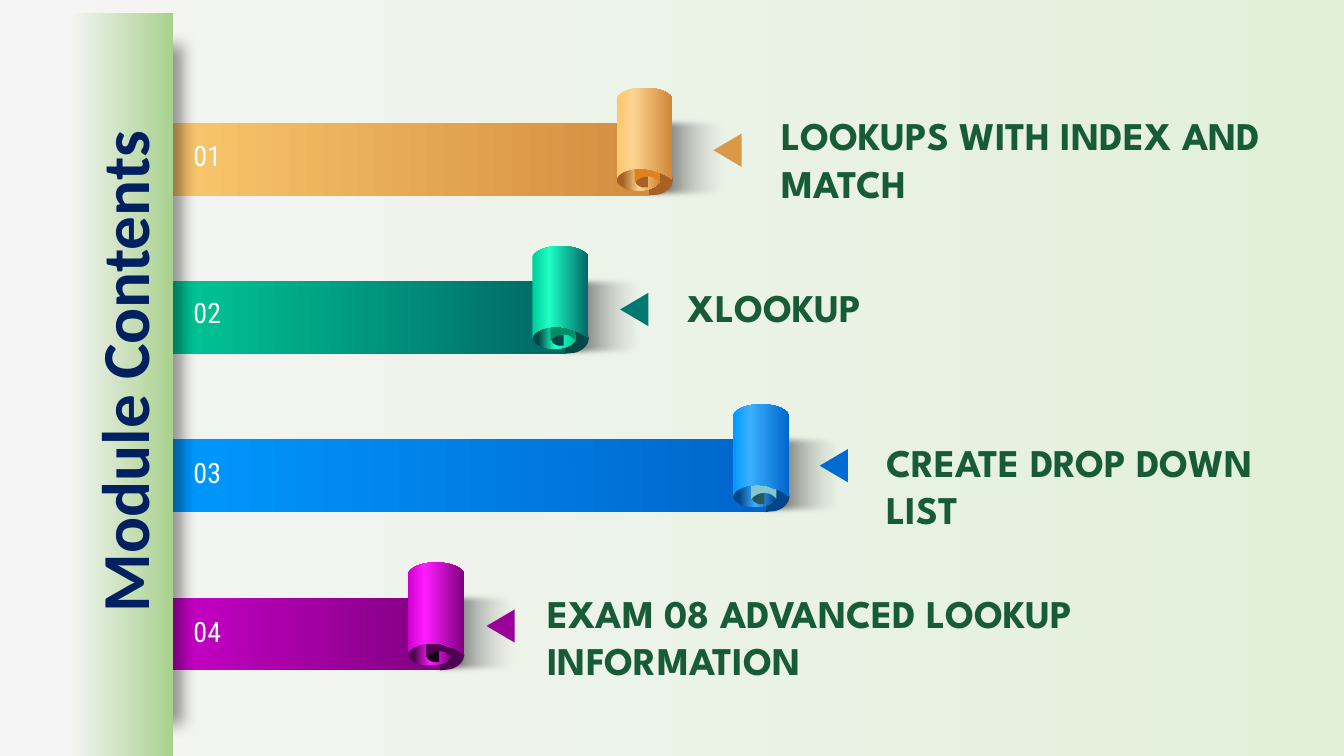
from dataclasses import dataclass
from lxml.etree import SubElement
from pptx import Presentation
from pptx.enum.shapes import MSO_CONNECTOR as Link, MSO_SHAPE as Kind
from pptx.enum.text import MSO_ANCHOR as Anchor, MSO_AUTO_SIZE as Fit, PP_ALIGN as Align
from pptx.dml.color import RGBColor as Color
from pptx.oxml.ns import qn
from pptx.util import Inches, Pt

COLS, ROWS = 1333, 750
CELL = Inches(0.01)
PITCH = 157
EDGE = 151
ROLL_W, ROLL_H = 55.5, 107

TAIL = [(56, 92), (56, 98, 50, 104, 42, 106), (32, 107), (32, 76), (42, 77),
        (50, 80, 56, 85, 56, 92)]
HOOK = [(19, 93), (19, 96, 22, 98, 26, 99), (31, 99), (31, 88), (26, 88),
        (22, 89, 19, 91, 19, 93)]
CORE = [(18, 51), (22, 44, 39, 44, 43, 51), (43, 94), (40, 90, 36, 88, 31, 88),
        (26, 88, 22, 90, 18, 94)]
ROLL = [(28, 0), (39, 0, 51, 3, 55.5, 10), (55.5, 91), (52, 88, 48, 86, 43, 84),
        (39, 83), (34, 81), (31, 81, 28, 80, 24, 80), (13, 80, 3, 84, 1, 89),
        (0, 92), (0, 10), (5, 3, 16, 0, 28, 0)]


@dataclass
class Hues:
    start: str
    end: str
    light: str
    dark: str
    rim: str
    edge: str
    hook: str
    core: str
    mark: str


@dataclass
class Row:
    label: str
    right: int
    num: int
    mark: tuple
    text: tuple
    rule: int
    hues: Hues


LIST = [
    Row("LOOKUPS WITH INDEX AND MATCH", 667, 133, (705, 135),
        (765.5, 106, 530, 104), 193,
        Hues("FAC86F", "D48D3E", "FBD48F", "A76124", "CE8537", "CE8537",
             "A76124", "DD821D", "DB9948")),
    Row("XLOOKUP", 583.5, 288, (612.5, 293), (672.5, 276, 568, 57), 363,
        Hues("00CC99", "006666", "1DFFC4", "004846", "00CC99", "006666",
             "004846", "008E69", "007A70")),
    Row("CREATE DROP DOWN LIST", 782.5, 447, (810.5, 448),
        (869.5, 430, 426, 104), 0,
        Hues("0099FF", "0066CC", "3BB0FF", "00458A", "00458A", "0066CC",
             "28585E", "81C6D1", "006CD2")),
    Row("EXAM 08 ADVANCED LOOKUP INFORMATION", 460, 605, (480, 607),
        (533, 580, 749, 104), 0,
        Hues("CC00CC", "800080", "FF1DFF", "500050", "800080", "800080",
             "1A001A", "500050", "9A009A")),
]


def span(*cells):
    return [round(c * CELL) for c in cells]


def paint(fill, hues, node=None):
    if isinstance(hues, str):
        fill.solid()
        fill.fore_color.rgb = Color.from_string(hues)
        return
    fill.gradient()
    fill.gradient_angle = 0
    stops = node.find(".//" + qn("a:gsLst"))
    for old in list(stops):
        stops.remove(old)
    for place, hue, *alpha in hues:
        stop = SubElement(stops, qn("a:gs"), pos=str(place * 1000))
        tint = SubElement(stop, qn("a:srgbClr"), val=hue)
        for value in alpha:
            SubElement(tint, qn("a:alpha"), val=str(value * 1000))


def finish(shape, hues):
    paint(shape.fill, hues, shape._element.spPr)
    shape.line.fill.background()
    shape.shadow.inherit = False
    return shape


def effect(shape, tag, **traits):
    holder = shape._element.spPr.find(qn("a:effectLst"))
    return SubElement(holder, qn(tag), **traits)


def block(slide, kind, box, hues):
    return finish(slide.shapes.add_shape(kind, *span(*box)), hues)


def curve(slide, x, y, steps, hues):
    knots = [span(x + step[n], y + step[n + 1])
             for step in steps for n in range(0, len(step), 2)]
    pen = slide.shapes.build_freeform(*knots[0])
    pen.add_line_segments(knots[1:], close=True)
    shape = finish(pen.convert_to_shape(), hues)
    trail = shape._element.spPr.find(".//" + qn("a:path"))
    lines = iter(trail.findall(qn("a:lnTo")))
    for step in steps[1:]:
        first = next(lines)
        if len(step) == 6:
            bend = trail.makeelement(qn("a:cubicBezTo"))
            first.addprevious(bend)
            for line in (first, next(lines), next(lines)):
                bend.append(line[0])
                trail.remove(line)


def style(shape, text, face, size, hue, bold=False):
    frame = shape.text_frame
    frame.text = text
    frame.word_wrap = True
    frame.auto_size = Fit.NONE
    font = frame.paragraphs[0].runs[0].font
    font.name, font.size, font.bold = face, Pt(size), bold
    paint(font.fill, hue)
    return frame


def ribbon(slide, box, hues):
    x, y, w, h = box
    left = x + w - ROLL_W
    shade = block(slide, Kind.RECTANGLE, (left + 21, y + 27, 93, 86),
                  [(0, "000000"), (100, "E9EBEA", 0)])
    effect(shade, "a:softEdge", rad=str(Pt(5)))
    curve(slide, left, y, TAIL, hues.dark)
    block(slide, Kind.RECTANGLE, (x, y + 35, w - 23, h - 35),
          [(0, hues.start), (100, hues.end)])
    block(slide, Kind.OVAL, (left, y + 80, 43, 22),
          [(14, hues.dark), (52, hues.light), (100, hues.rim)])
    curve(slide, left, y, HOOK, hues.hook)
    curve(slide, left, y, CORE, hues.core)
    curve(slide, left, y, ROLL,
          [(0, hues.start), (30, hues.light), (100, hues.edge)])


def panel(slide, box):
    x, y, w, h = box
    back = block(slide, Kind.RECTANGLE, (x + 48, y + 32, 55, h - 65), "F4F4F4")
    glow = effect(back, "a:outerShdw", blurRad=str(Pt(11)), dist=str(Pt(7)),
                  dir="0", algn="l", rotWithShape="0")
    tint = SubElement(glow, qn("a:srgbClr"), val="000000")
    SubElement(tint, qn("a:alpha"), val="40000")
    block(slide, Kind.RECTANGLE, box, [(0, "F5F5F5"), (100, "A9D18E")])


def heading(slide, box):
    title = slide.shapes.title
    title.left, title.top, title.width, title.height = span(*box)
    title.rotation = 270
    frame = style(title, "Module Contents", "Calibri", 48, "002060", True)
    frame.vertical_anchor = Anchor.TOP
    frame.paragraphs[0].alignment = Align.CENTER
    title._element.getparent().append(title._element)


def number(slide, box, text):
    style(slide.shapes.add_textbox(*span(*box)), text,
          "Roboto Condensed", 20, "FFFFFF")


def topic(slide, box, row):
    if row.rule:
        ends = span(box[0], row.rule, box[0] + 410, row.rule)
        rule = slide.shapes.add_connector(Link.STRAIGHT, *ends)
        rule.line.width = Pt(0.5)
        paint(rule.line.fill, "F2F2F2")
        tint = rule._element.spPr.find(".//" + qn("a:srgbClr"))
        SubElement(tint, qn("a:alpha"), val="30000")
        SubElement(rule._element.spPr, qn("a:effectLst"))
    style(slide.shapes.add_textbox(*span(*box)), row.label,
          "League Spartan", 28, "185C37", True)


def main():
    deck = Presentation()
    deck.slide_width, deck.slide_height = span(COLS, ROWS)
    slide = deck.slides.add_slide(deck.slide_layouts[5])
    paint(slide.background.fill, [(0, "F5F5F5"), (100, "E2F0D9")], slide._element)
    for n, row in enumerate(LIST):
        ribbon(slide, (EDGE, 87 + n * PITCH, row.right - EDGE, ROLL_H), row.hues)
    panel(slide, (68, 13, 104, ROWS - 13))
    for n, row in enumerate(LIST, 1):
        number(slide, (182, row.num, 55, 44), f"{n:02}")
        mark = block(slide, Kind.ISOSCELES_TRIANGLE, (*row.mark, 33, 28),
                     row.hues.mark)
        mark.rotation = 270
        topic(slide, row.text, row)
    heading(slide, (-246.5, 323, 737, 91))
    deck.save("out.pptx")


if __name__ == "__main__":
    main()
